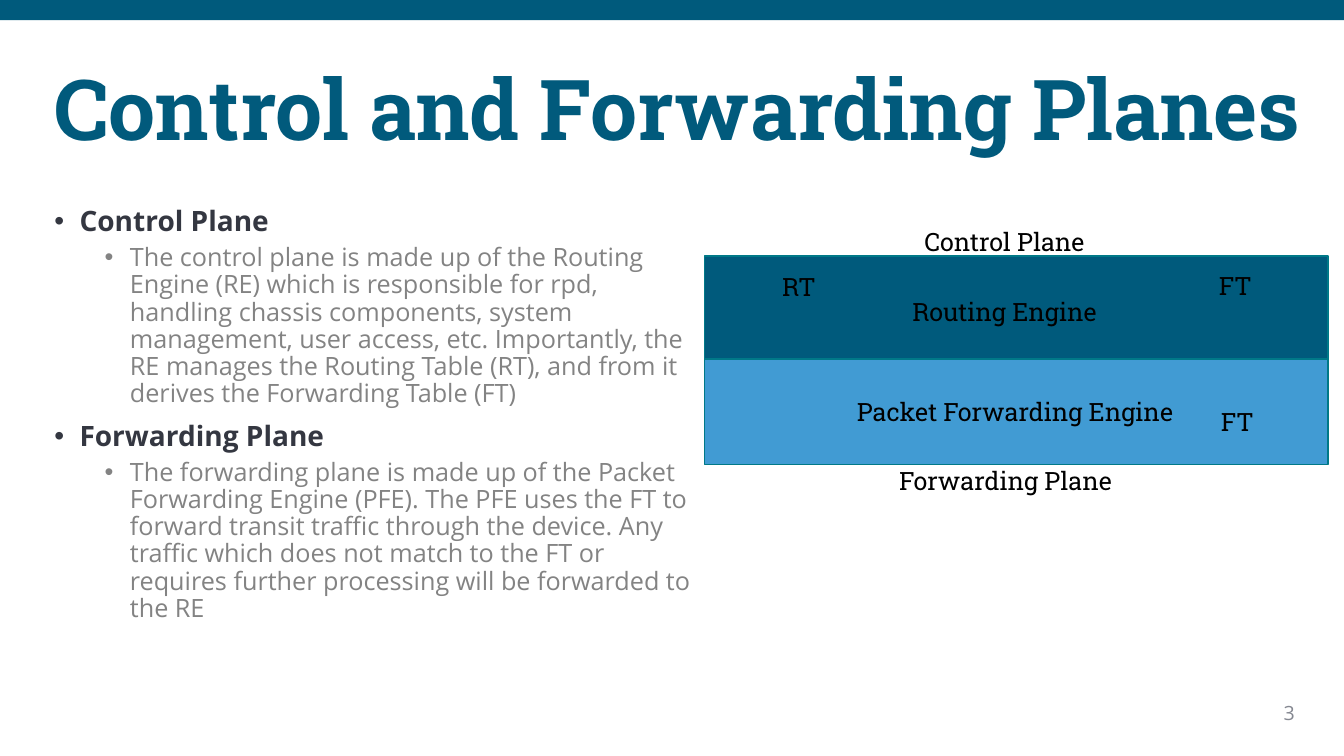
from lxml import etree
from pptx import Presentation
from pptx import util as u
from pptx.dml.color import RGBColor
from pptx.enum import shapes, text
from pptx.oxml.ns import qn

W, H = 13.33, 7.5
HUES = {"navy": "005A7C", "title": "015A7C", "sky": "419BD3", "teal": "007988",
        "dark": "343741", "gray": "838383", "page": "858891", "black": "000000"}
HEAD, BODY = "Roboto Slab", "Open Sans"
TITLE = "Control and Forwarding Planes"
POINTS = [
    ("Control Plane",
     "The control plane is made up of the Routing Engine (RE) which is responsible for rpd, "
     "handling chassis components, system management, user access, etc. Importantly, the RE "
     "manages the Routing Table (RT), and from it derives the Forwarding Table (FT)"),
    ("Forwarding Plane",
     "The forwarding plane is made up of the Packet Forwarding Engine (PFE). The PFE uses the "
     "FT to forward transit traffic through the device. Any traffic which does not match to the "
     "FT or requires further processing will be forwarded to the RE"),
]
LEVELS = [(0.25, 10, 20, "dark", True), (0.75, 5, 18, "gray", False)]
LEFT, RIGHT, MID = 0.44, 13.17, 6.99
PLANES = [(2.54, 2.03, "navy"), (3.56, 1.05, "sky")]
LABELS = [
    ("Control Plane", 9.07, 2.2, 1.83),
    ("Forwarding Plane", 8.82, 4.57, 2.32),
    ("RT", 7.66, 2.64, 0.55),
    ("FT", 11.99, 2.63, 0.53),
    ("FT", 12.01, 3.98, 0.53),
    ("Routing Engine", 8.95, 2.89, 2.05),
    ("Packet Forwarding Engine", 8.4, 3.88, 3.37),
]


def rgb(hue):
    return RGBColor.from_string(HUES[hue])


def rect(box, hue, edge=None):
    shape = slide.shapes.add_shape(shapes.MSO_SHAPE.RECTANGLE, *map(u.Inches, box))
    shape.shadow.inherit = False
    shape.fill.solid()
    shape.fill.fore_color.rgb = rgb(hue)
    if edge:
        shape.line.color.rgb = rgb(edge)
        shape.line.width = u.Pt(1)
    else:
        shape.line.fill.background()


def frame(box, wrap=True):
    area = slide.shapes.add_textbox(*map(u.Inches, box)).text_frame
    area.word_wrap = wrap
    return area


def write(para, words, face, size, hue, bold=False):
    para.text = words
    font = para.font
    font.name, font.size, font.bold = face, u.Pt(size), bold
    font.color.rgb = rgb(hue)


def bullet(para, left):
    props = para._p.get_or_add_pPr()
    props.set("marL", str(u.Inches(left)))
    props.set("indent", str(u.Inches(-0.25)))
    etree.SubElement(props, qn("a:buFont")).set("typeface", "Arial")
    etree.SubElement(props, qn("a:buChar")).set("char", "•")


deck = Presentation()
deck.slide_width, deck.slide_height = u.Inches(W), u.Inches(H)
slide = deck.slides.add_slide(deck.slide_layouts[6])

rect((0, 0, W, 0.2), "navy")

page = frame((12.3, 6.9, 0.64, 0.34)).paragraphs[0]
write(page, "3", BODY, 14, "page")
page.alignment = text.PP_ALIGN.RIGHT

top = frame((LEFT, 0.4, RIGHT - LEFT, 1.45))
top.vertical_anchor = text.MSO_ANCHOR.MIDDLE
write(top.paragraphs[0], TITLE, HEAD, 60, "title", True)
top.paragraphs[0].line_spacing = 0.9

body = frame((LEFT, 2.01, MID - LEFT, 4.75))
para = body.paragraphs[0]
for point in POINTS:
    for level, words in enumerate(point):
        left, gap, size, hue, bold = LEVELS[level]
        first = para.text == "" and len(body.paragraphs) == 1
        if not first:
            para = body.add_paragraph()
        para.level = level
        bullet(para, left)
        para.line_spacing = 0.9
        para.space_before = u.Pt(0 if first else gap)
        write(para, words, BODY, size, hue, bold)

for y, high, hue in PLANES:
    rect((MID, y, RIGHT - MID, high), hue, "teal")

for words, x, y, wide in LABELS:
    write(frame((x, y, wide, 0.4), False).paragraphs[0], words, HEAD, 18, "black")

deck.save("out.pptx")
